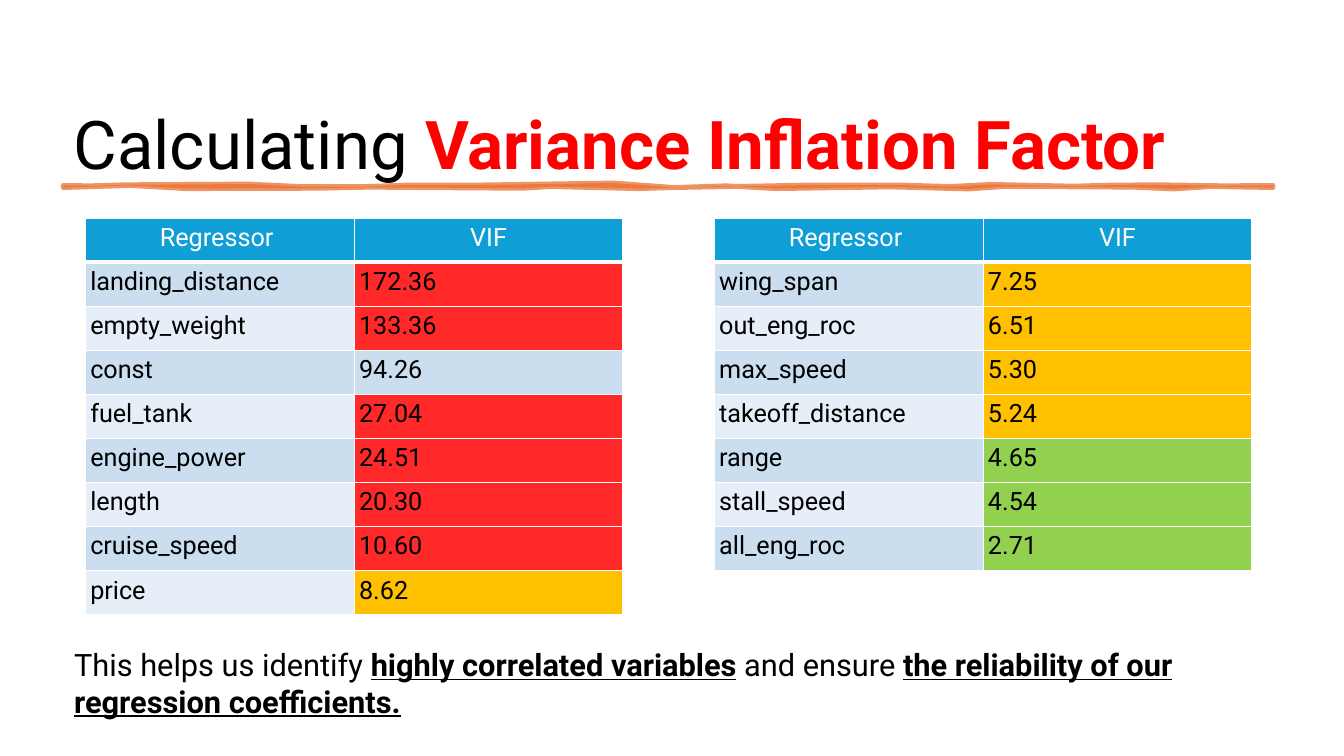
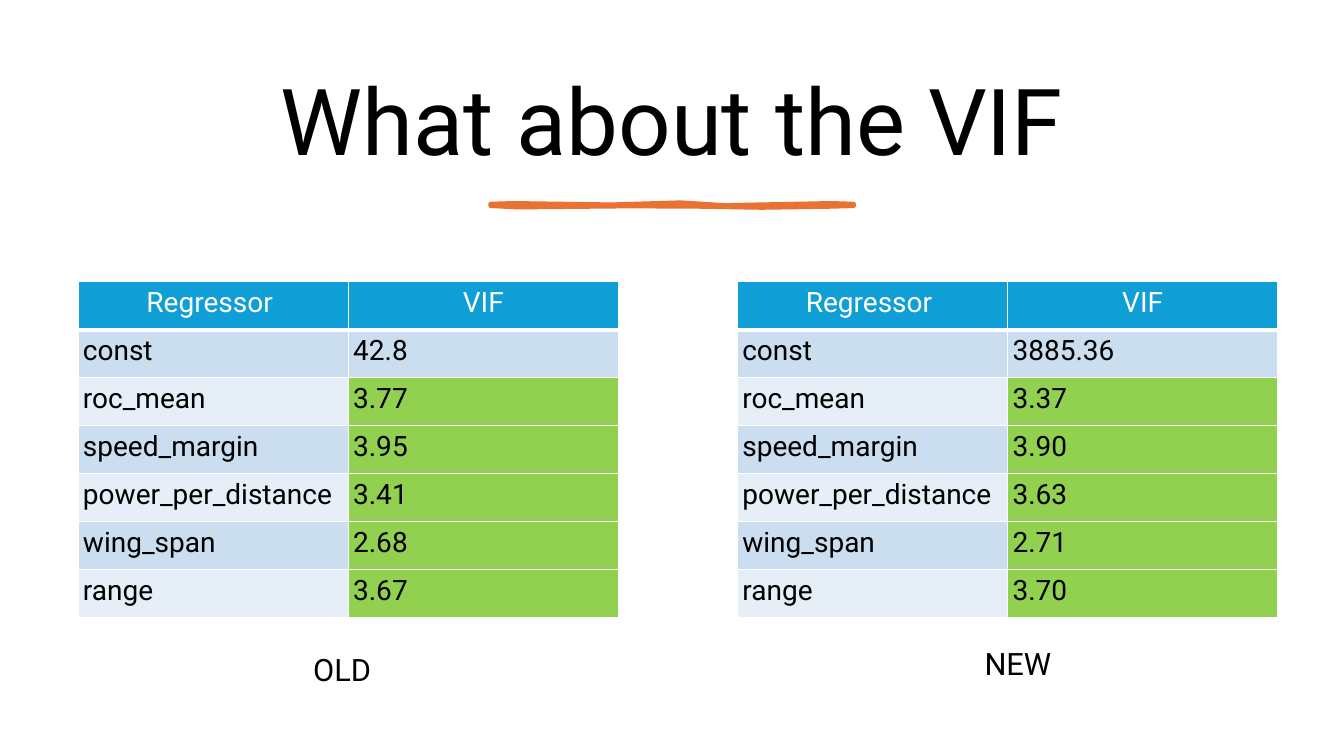
from dataclasses import dataclass

from lxml.etree import SubElement
from pptx import Presentation
from pptx.dml.color import RGBColor
from pptx.enum.text import MSO_ANCHOR, MSO_AUTO_SIZE, PP_ALIGN
from pptx.oxml import parse_xml
from pptx.oxml.ns import nsdecls, qn
from pptx.util import Pt

PX = 3175


@dataclass(frozen=True)
class Theme:
    font: str = "Roboto"
    ink: str = "000000"
    paper: str = "FFFFFF"
    accent: str = "FF0000"
    brush: str = "E97132"
    header: str = "0F9ED5"
    bands: tuple = ("CADEEF", "E6EFF7")
    severe: str = "FF2929"
    moderate: str = "FFC000"
    low: str = "92D050"
    body_size: int = 22
    inset: int = 14


theme = Theme()


def write(frame, runs, size, align=PP_ALIGN.LEFT):
    paragraph = frame.paragraphs[0]
    paragraph.alignment = align
    for text, colour, bold, underline in runs:
        run = paragraph.add_run()
        run.text = text
        run.font.name = theme.font
        run.font.size = Pt(size)
        run.font.color.rgb = RGBColor.from_string(colour)
        run.font.bold = bold
        run.font.underline = underline
    return paragraph


slides = [
    {
        "title": [("Calculating ", theme.ink, False, False),
                  ("Variance Inflation Factor", theme.accent, True, False)],
        "title_box": (196, 277, 3516, 262),
        "title_size": 48,
        "title_align": PP_ALIGN.LEFT,
        "title_anchor": MSO_ANCHOR.TOP,
        "title_spacing": 1.0,
        "brush_span": (181, 3637),
        "brush_edges": (530, 536),
        "upper_crests": [
            (259, 1), (357, -2), (708, -4), (858, 3), (1045, 3), (1166, -1),
            (1356, -1), (1754, -7), (1927, 6), (2203, 1), (2301, -1), (2580, -1),
            (2713, 3), (2834, -3), (3067, 2), (3180, -1), (3312, -2), (3499, 1)],
        "lower_crests": [
            (3462, -3), (3352, 4), (3240, -1), (3096, -2), (2868, -3), (2768, 4),
            (2543, -2), (2218, 3), (2076, -5), (1826, 3), (1572, -3), (1495, 2),
            (1336, 1), (1057, -1), (907, 2), (533, 3), (374, -6)],
        "brush_width": 3.5,
        "brush_opacity": 75,
        "table_size": 18,
        "tables": [
            ((244, 623, 1536, 1134), [
                ("landing_distance", "172.36"), ("empty_weight", "133.36"), ("const", "94.26"),
                ("fuel_tank", "27.04"), ("engine_power", "24.51"), ("length", "20.30"),
                ("cruise_speed", "10.60"), ("price", "8.62")]),
            ((2041, 623, 1536, 1008), [
                ("wing_span", "7.25"), ("out_eng_roc", "6.51"), ("max_speed", "5.30"),
                ("takeoff_distance", "5.24"), ("range", "4.65"), ("stall_speed", "4.54"),
                ("all_eng_roc", "2.71")]),
        ],
        "captions": [
            ((198, 1830, 3419, 236), [
                ("This helps us identify ", theme.ink, False, False),
                ("highly correlated variables", theme.ink, True, True),
                (" and ensure ", theme.ink, False, False),
                ("the reliability of our regression coefficients.", theme.ink, True, True)]),
        ],
    },
    {
        "title": [("What about the VIF", theme.ink, False, False)],
        "title_box": (216, 144, 3408, 432),
        "title_size": 66,
        "title_align": PP_ALIGN.CENTER,
        "title_anchor": MSO_ANCHOR.MIDDLE,
        "title_spacing": 0.9,
        "brush_span": (1402, 2439),
        "brush_edges": (583, 588),
        "upper_crests": [(1466, -2), (1748, 2), (1944, -4), (2071, 4), (2376, -2)],
        "lower_crests": [(2376, 2), (2177, 5), (1996, 2), (1800, 1), (1480, 4)],
        "brush_width": 3.25,
        "brush_opacity": 100,
        "table_size": 20,
        "tables": [
            ((2107, 805, 1544, 960), [
                ("const", "3885.36"), ("roc_mean", "3.37"), ("speed_margin", "3.90"),
                ("power_per_distance", "3.63"), ("wing_span", "2.71"), ("range", "3.70")]),
            ((223, 805, 1544, 960), [
                ("const", "42.8"), ("roc_mean", "3.77"), ("speed_margin", "3.95"),
                ("power_per_distance", "3.41"), ("wing_span", "2.68"), ("range", "3.67")]),
        ],
        "captions": [
            ((881, 1845, 297, 132), [("OLD", theme.ink, False, False)]),
            ((2799, 1828, 297, 132), [("NEW", theme.ink, False, False)]),
        ],
    },
]

deck = Presentation()
deck.slide_width = 3840 * PX
deck.slide_height = 2160 * PX

for content in slides:
    slide = deck.slides.add_slide(deck.slide_layouts[5])

    title = slide.shapes.title
    title.left, title.top, title.width, title.height = (n * PX for n in content["title_box"])
    heading = write(title.text_frame, content["title"], content["title_size"], content["title_align"])
    heading.line_spacing = content["title_spacing"]
    title.text_frame.vertical_anchor = content["title_anchor"]
    frames = [title.text_frame]

    left, right = content["brush_span"]
    upper, lower = content["brush_edges"]
    outline = [(x, upper + rise) for x, rise in content["upper_crests"]]
    outline += [(right, upper), (right, lower)]
    outline += [(x, lower + rise) for x, rise in content["lower_crests"]]
    outline.append((left, lower))
    for layer in ("fill", "line"):
        builder = slide.shapes.build_freeform(left, upper, scale=PX)
        builder.add_line_segments(outline, close=True)
        brush = builder.convert_to_shape()
        brush.shadow.inherit = False
        if layer == "fill":
            brush.line.fill.background()
            paint = brush.fill
        else:
            brush.fill.background()
            brush.line.width = Pt(content["brush_width"])
            paint = brush.line.fill
        paint.solid()
        paint.fore_color.rgb = RGBColor.from_string(theme.brush)
        if content["brush_opacity"] < 100:
            for colour in brush._element.iter(qn("a:srgbClr")):
                SubElement(colour, qn("a:alpha")).set("val", str(content["brush_opacity"] * 1000))

    for box, runs in content["captions"]:
        caption = slide.shapes.add_textbox(*(n * PX for n in box)).text_frame
        write(caption, runs, theme.body_size)
        frames.append(caption)

    for frame in frames:
        frame.word_wrap = True
        frame.auto_size = MSO_AUTO_SIZE.NONE
        frame.margin_left = frame.margin_right = theme.inset * PX
        frame.margin_top = frame.margin_bottom = theme.inset * PX

    for box, regressors in content["tables"]:
        rows = [("Regressor ", "VIF"), *regressors]
        table = slide.shapes.add_table(len(rows), 2, *(n * PX for n in box)).table
        for r, (regressor, vif) in enumerate(rows):
            band = theme.header if r == 0 else theme.bands[(r - 1) % 2]
            if r == 0 or regressor == "const":
                rating = band
            elif float(vif) > 10:
                rating = theme.severe
            elif float(vif) > 5:
                rating = theme.moderate
            else:
                rating = theme.low
            ink = theme.paper if r == 0 else theme.ink
            align = PP_ALIGN.CENTER if r == 0 else PP_ALIGN.LEFT
            for c, (text, fill) in enumerate(((regressor, band), (vif, rating))):
                cell = table.cell(r, c)
                cell.margin_left = cell.margin_right = theme.inset * PX
                cell.margin_top = cell.margin_bottom = theme.inset * PX
                cell.fill.solid()
                cell.fill.fore_color.rgb = RGBColor.from_string(fill)
                write(cell.text_frame, [(text, ink, False, False)], content["table_size"], align)
                for place, side in enumerate("LRTB"):
                    thick = (r, side) in ((0, "B"), (1, "T"))
                    cell._tc.tcPr.insert(place, parse_xml(
                        f'<a:ln{side} {nsdecls("a")} w="{Pt(3 if thick else 1)}"><a:solidFill>'
                        f'<a:srgbClr val="{theme.paper}"/></a:solidFill></a:ln{side}>'))

deck.save("out.pptx")
